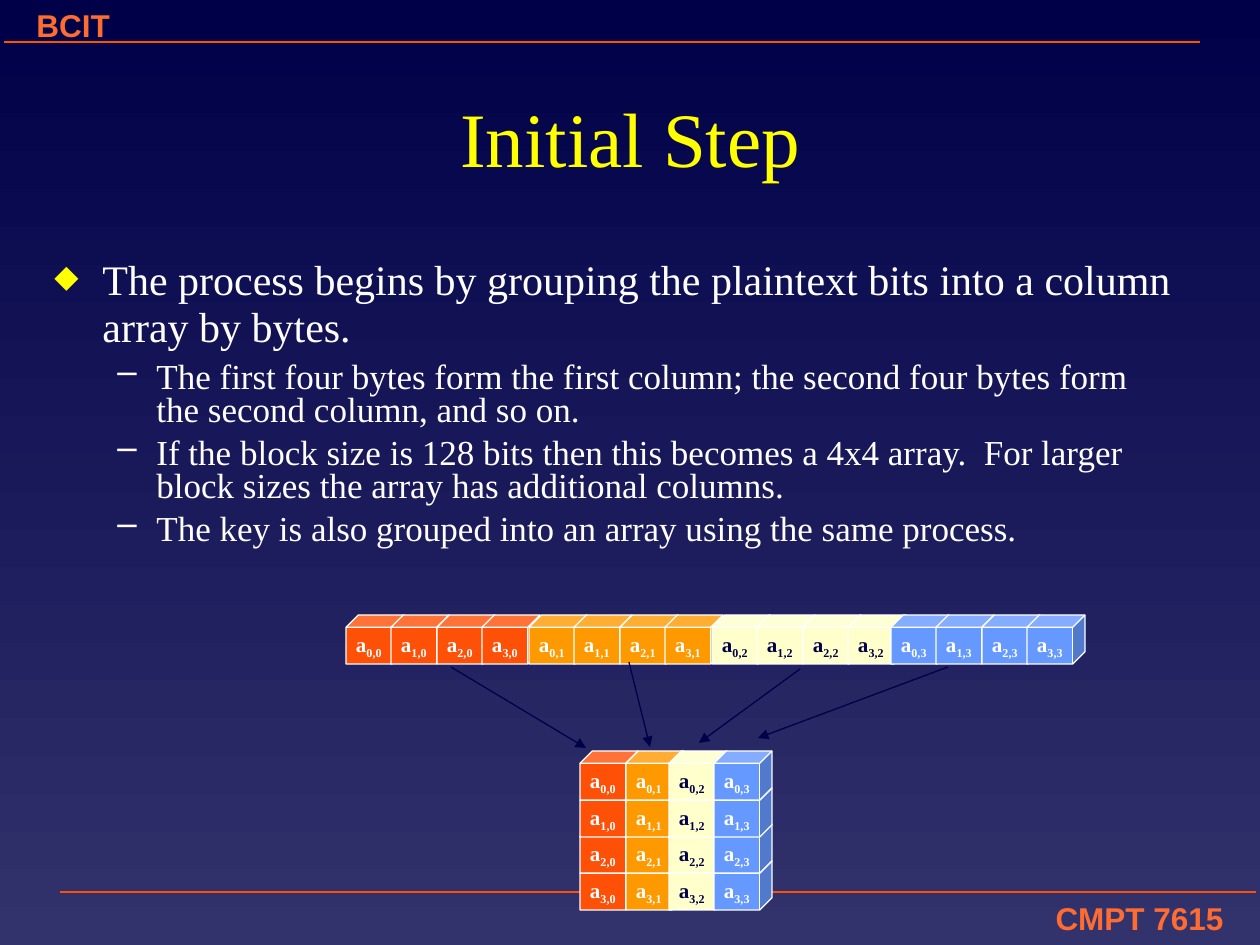
import pptx
import pptx.dml.color
import pptx.enum.shapes
import pptx.enum.text
import pptx.oxml.ns
import pptx.util
from lxml import etree

SCALE = 914400 / 126
COLORS = {
    "navy": "000048",
    "indigo": "32326C",
    "red": "FF5008",
    "coral": "FF6C31",
    "orange": "FF9900",
    "cream": "FFFFCC",
    "blue": "6699FF",
    "yellow": "FFFF00",
    "white": "FFFFFF",
}
ALIGN = pptx.enum.text.PP_ALIGN
ANCHOR = pptx.enum.text.MSO_ANCHOR
SERIF = "Times New Roman"

CORNER_FONT = {"name": "Arial", "size": pptx.util.Pt(18), "bold": True}
TITLE_FONT = {"name": SERIF, "size": pptx.util.Pt(44)}
BYTE_FONT = {"name": SERIF, "size": pptx.util.Pt(12), "bold": True}

LEVELS = [
    {"font": {"name": SERIF, "size": pptx.util.Pt(24)}, "margin": 48, "hanging": 48,
     "bullet": "◆", "bullet_color": "yellow", "bullet_percent": 75, "line_spacing": 0.93},
    {"font": {"name": SERIF, "size": pptx.util.Pt(20)}, "margin": 102, "hanging": 39,
     "bullet": "–", "bullet_color": "white", "bullet_percent": 100, "line_spacing": 0.8},
]
POINTS = [
    (0, 0, "The process begins by grouping the plaintext bits into a column array by bytes."),
    (1, 6, "The first four bytes form the first column; the second four bytes form "
           "the second column, and so on."),
    (1, 5, "If the block size is 128 bits then this becomes a 4x4 array.  For larger "
           "block sizes the array has additional columns."),
    (1, 5, "The key is also grouped into an array using the same process."),
]

COLUMNS = [
    {"fill": "red", "text": "white", "row_left": 346, "grid_left": 580,
     "arrow": ((451, 667), (586, 748))},
    {"fill": "orange", "text": "white", "row_left": 529, "grid_left": 626,
     "arrow": ((629, 662), (650, 747))},
    {"fill": "cream", "text": "navy", "row_left": 712, "grid_left": 669,
     "arrow": ((800, 669), (699, 743))},
    {"fill": "blue", "text": "white", "row_left": 891, "grid_left": 714,
     "arrow": ((948, 667), (758, 738))},
]
ROW_TOP, GRID_TOP = 615, 751
CUBE_WIDTH, CUBE_HEIGHT = 58, 49
ROW_STEP, GRID_STEP = 136 / 3, 110 / 3


def px(length):
    return round(length * SCALE)


def rgb(name):
    return pptx.dml.color.RGBColor.from_string(COLORS[name])


def apply_format(target, values):
    for name, value in values.items():
        setattr(target, name, value)


def add_run(paragraph, text, font, color):
    run = paragraph.add_run()
    run.text = text
    apply_format(run.font, font)
    run.font.color.rgb = rgb(color)
    return run


def add_frame(slide, box, anchor=ANCHOR.TOP):
    frame = slide.shapes.add_textbox(*map(px, box)).text_frame
    apply_format(frame, {"word_wrap": True, "vertical_anchor": anchor})
    return frame


def add_label(slide, box, text, font, color, align, anchor=ANCHOR.TOP):
    paragraph = add_frame(slide, box, anchor).paragraphs[0]
    paragraph.alignment = align
    add_run(paragraph, text, font, color)


def add_bullet(paragraph, level):
    properties = paragraph._p.get_or_add_pPr()
    properties.set("marL", str(px(level["margin"])))
    properties.set("indent", str(-px(level["hanging"])))
    qn = pptx.oxml.ns.qn
    color = etree.SubElement(properties, qn("a:buClr"))
    etree.SubElement(color, qn("a:srgbClr"), val=COLORS[level["bullet_color"]])
    etree.SubElement(properties, qn("a:buSzPct"), val=str(level["bullet_percent"] * 1000))
    etree.SubElement(properties, qn("a:buChar"), char=level["bullet"])


def add_points(slide, box):
    frame = add_frame(slide, box)
    for index, (depth, space, text) in enumerate(POINTS):
        level = LEVELS[depth]
        paragraph = frame.add_paragraph() if index else frame.paragraphs[0]
        add_bullet(paragraph, level)
        apply_format(paragraph, {
            "level": depth,
            "line_spacing": level["line_spacing"],
            "space_before": pptx.util.Pt(space),
        })
        add_run(paragraph, text, level["font"], "white")


def add_line(shapes, start, end, color, width, arrow=False):
    line = shapes.add_connector(
        pptx.enum.shapes.MSO_CONNECTOR.STRAIGHT, *map(px, start + end))
    line.line.color.rgb = rgb(color)
    line.line.width = pptx.util.Pt(width)
    qn = pptx.oxml.ns.qn
    if arrow:
        etree.SubElement(line.line._get_or_add_ln(), qn("a:tailEnd"), type="triangle")
    etree.SubElement(line._element.spPr, qn("a:effectLst"))


def add_byte(group, left, top, subscript, column):
    cube = group.shapes.add_shape(
        pptx.enum.shapes.MSO_SHAPE.CUBE, *map(px, (left, top, CUBE_WIDTH, CUBE_HEIGHT)))
    cube.shadow.inherit = False
    cube.fill.solid()
    cube.fill.fore_color.rgb = rgb(column["fill"])
    cube.line.color.rgb = rgb("white")
    cube.line.width = pptx.util.Pt(0.75)
    apply_format(cube.text_frame, {"word_wrap": False, "vertical_anchor": ANCHOR.MIDDLE})
    paragraph = cube.text_frame.paragraphs[0]
    paragraph.alignment = ALIGN.CENTER
    add_run(paragraph, "a", BYTE_FONT, column["text"])
    index = add_run(paragraph, subscript, BYTE_FONT, column["text"])
    index._r.get_or_add_rPr().set("baseline", "-25000")


def add_byte_row(slide):
    group = slide.shapes.add_group_shape()
    for number, column in enumerate(COLUMNS):
        for row in range(4):
            left = column["row_left"] + round(row * ROW_STEP)
            add_byte(group, left, ROW_TOP, f"{row},{number}", column)


def add_byte_grid(slide):
    for number, column in enumerate(COLUMNS):
        group = slide.shapes.add_group_shape()
        for row in reversed(range(4)):
            top = GRID_TOP + round(row * GRID_STEP)
            add_byte(group, column["grid_left"], top, f"{row},{number}", column)
        add_line(group.shapes, *column["arrow"], "navy", 0.75, arrow=True)


def set_background(slide):
    fill = slide.background.fill
    fill.gradient()
    fill.gradient_angle = 270
    for stop, color in zip(fill.gradient_stops, ("navy", "indigo")):
        stop.color.rgb = rgb(color)


def main():
    deck = pptx.Presentation()
    apply_format(deck, {"slide_width": px(1260), "slide_height": px(945)})
    slide = deck.slides.add_slide(deck.slide_layouts[6])
    set_background(slide)
    add_label(slide, (668, 893, 568, 50), "CMPT 7615", CORNER_FONT, "coral", ALIGN.RIGHT)
    add_line(slide.shapes, (1256, 892), (60, 892), "red", 1)
    add_label(slide, (24, 0, 568, 50), "BCIT", CORNER_FONT, "coral", ALIGN.LEFT)
    add_line(slide.shapes, (1200, 42), (4, 42), "red", 1)
    add_label(slide, (154, 53, 953, 168), "Initial Step", TITLE_FONT, "yellow",
              ALIGN.CENTER, ANCHOR.MIDDLE)
    add_points(slide, (42, 252, 1150, 326))
    add_byte_row(slide)
    add_byte_grid(slide)
    deck.save("out.pptx")


if __name__ == "__main__":
    main()
